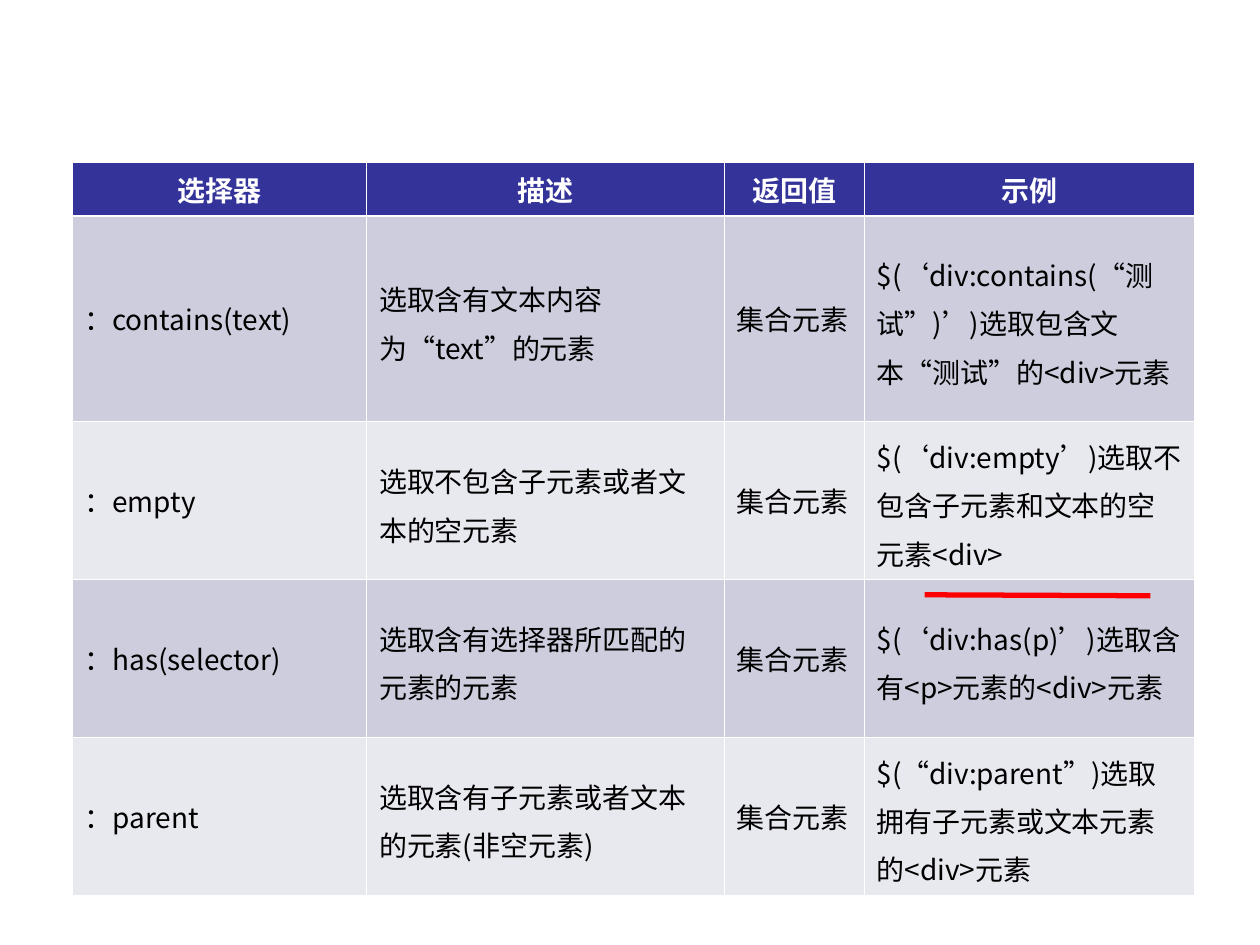
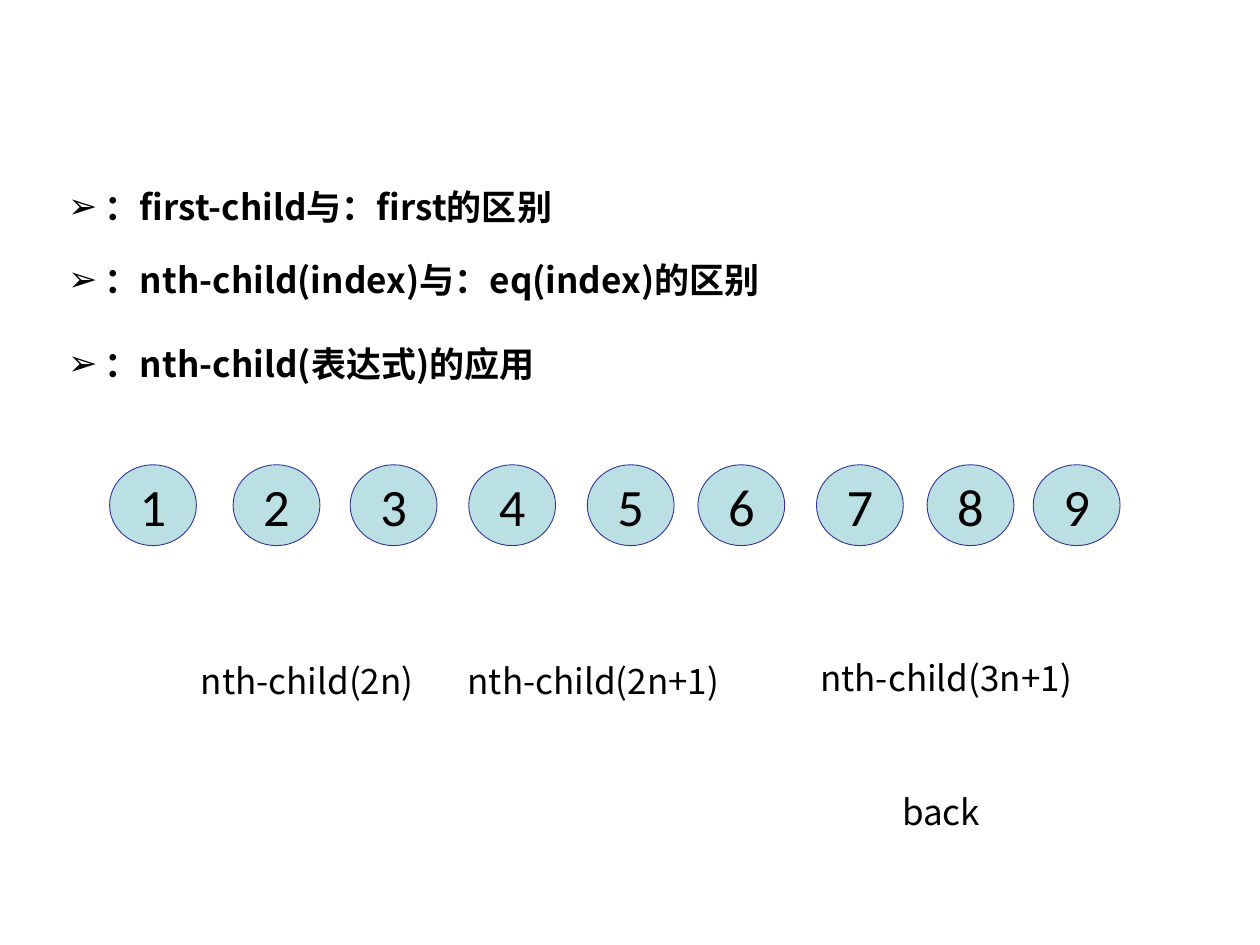
from dataclasses import dataclass

import lxml.etree
import pptx
import pptx.dml.color
import pptx.enum.shapes
import pptx.enum.text
import pptx.oxml.ns
import pptx.util

Cm = pptx.util.Cm
Pt = pptx.util.Pt
qn = pptx.oxml.ns.qn
ALIGN = pptx.enum.text.PP_ALIGN
MIDDLE = pptx.enum.text.MSO_ANCHOR.MIDDLE

BLACK, WHITE, RED = "000000", "FFFFFF", "FF0000"
NAVY, PALE_BLUE = "333399", "BBE0E3"
ROW_FILLS = ["CDCDDE", "E8E8EF"]
CJK_FONT = "Noto Sans CJK SC"
THIN, THICK = 0.45, 1.47


@dataclass
class TextStyle:
    size: float
    color: str = BLACK
    bold: bool = False
    font: str = CJK_FONT
    align: ALIGN = ALIGN.LEFT
    line_spacing: float = 1.0
    space_before: float = 0
    space_after: float = 0


@dataclass
class Label:
    text: str
    left: float
    top: float


HEADER_STYLE = TextStyle(16, WHITE, True, align=ALIGN.CENTER)
CELL_STYLE = TextStyle(16)
WRAPPED_CELL_STYLE = TextStyle(16, line_spacing=1.2)
NUMBER_STYLE = TextStyle(30, font="Calibri", align=ALIGN.CENTER)
LABEL_STYLE = TextStyle(20, align=ALIGN.CENTER, space_before=12.5)

COLUMN_WIDTHS = [5.94, 7.21, 2.82, 6.65]
ROW_HEIGHTS = [0.94, 3.51, 2.69, 2.69, 2.69]
COLLECTION = "集合元素"
SELECTOR_ROWS = [
    ["选择器", "描述", "返回值", "示例"],
    ["：contains(text)", "选取含有文本内容为“text”的元素", COLLECTION,
     "$(‘div:contains(“测试”)’)选取包含文本“测试”的<div>元素"],
    ["：empty", "选取不包含子元素或者文本的空元素", COLLECTION,
     "$(‘div:empty’)选取不包含子元素和文本的空元素<div>"],
    ["：has(selector)", "选取含有选择器所匹配的元素的元素", COLLECTION,
     "$(‘div:has(p)’)选取含有<p>元素的<div>元素"],
    ["：parent", "选取含有子元素或者文本的元素(非空元素)", COLLECTION,
     "$(“div:parent”)选取拥有子元素或文本元素的<div>元素"],
]

TOPICS = [
    ("：first-child与：first的区别", 0),
    ("：nth-child(index)与：eq(index)的区别", 0),
    ("：nth-child(表达式)的应用", 6),
]
CIRCLE_LEFTS = [2.21, 4.7, 7.06, 9.45, 11.84, 14.07, 16.46, 18.69, 20.83]
LABELS = [
    Label("nth-child(2n)", 2.69, 13.18),
    Label("nth-child(2n+1)", 8.46, 13.18),
    Label("nth-child(3n+1)", 15.57, 13.11),
    Label("back", 15.47, 15.82),
]


def rgb(color: str) -> pptx.dml.color.RGBColor:
    return pptx.dml.color.RGBColor.from_string(color)


def write(paragraph, text: str, style: TextStyle) -> None:
    paragraph.text = text
    paragraph.alignment = style.align
    paragraph.line_spacing = style.line_spacing
    paragraph.space_before = Pt(style.space_before)
    paragraph.space_after = Pt(style.space_after)
    font = paragraph.font
    font.size, font.bold, font.name = Pt(style.size), style.bold, style.font
    font.color.rgb = rgb(style.color)
    properties = paragraph._p.pPr.find(qn("a:defRPr"))
    lxml.etree.SubElement(properties, qn("a:ea"), typeface=style.font)


def add_arrow_bullet(paragraph) -> None:
    properties = paragraph._p.pPr
    properties.set("marL", str(Cm(0.74)))
    properties.set("indent", str(-Cm(0.74)))
    bullet_color = properties.makeelement(qn("a:buClr"))
    lxml.etree.SubElement(bullet_color, qn("a:srgbClr"), val=BLACK)
    bullet = properties.makeelement(qn("a:buChar"), {"char": "➢"})
    font_properties = properties.find(qn("a:defRPr"))
    font_properties.addprevious(bullet_color)
    font_properties.addprevious(bullet)


def set_borders(cell, top: float, bottom: float) -> None:
    """Draw white borders; top and bottom widths are in points."""
    properties = cell._tc.get_or_add_tcPr()
    for side, width in zip("LRTB", (THIN, THIN, top, bottom)):
        line = lxml.etree.SubElement(properties, qn(f"a:ln{side}"), w=str(Pt(width)))
        fill = lxml.etree.SubElement(line, qn("a:solidFill"))
        lxml.etree.SubElement(fill, qn("a:srgbClr"), val=WHITE)


def add_selector_table(slide) -> None:
    table = slide.shapes.add_table(
        len(ROW_HEIGHTS), len(COLUMN_WIDTHS), Cm(1.45), Cm(3.28),
        Cm(sum(COLUMN_WIDTHS)), Cm(sum(ROW_HEIGHTS))).table
    for column, width in zip(table.columns, COLUMN_WIDTHS):
        column.width = Cm(width)
    for row_index, texts in enumerate(SELECTOR_ROWS):
        table.rows[row_index].height = Cm(ROW_HEIGHTS[row_index])
        is_header = row_index == 0
        for column_index, text in enumerate(texts):
            cell = table.cell(row_index, column_index)
            cell.vertical_anchor = MIDDLE
            set_borders(cell, THICK if row_index == 1 else THIN,
                        THICK if is_header else THIN)
            cell.fill.solid()
            cell.fill.fore_color.rgb = rgb(
                NAVY if is_header else ROW_FILLS[(row_index - 1) % 2])
            if is_header:
                style = HEADER_STYLE
            else:
                style = WRAPPED_CELL_STYLE if column_index % 2 else CELL_STYLE
            write(cell.text_frame.paragraphs[0], text, style)


def add_red_line(slide) -> None:
    connector = slide.shapes.add_connector(
        pptx.enum.shapes.MSO_CONNECTOR.STRAIGHT,
        Cm(18.64), Cm(11.99), Cm(23.19), Cm(12.01))
    connector.line.color.rgb = rgb(RED)
    connector.line.width = Pt(3)
    lxml.etree.SubElement(connector._element.spPr, qn("a:effectLst"))


def fill_topics(body) -> None:
    body.left, body.top, body.width, body.height = Cm(1.12), Cm(3.18), Cm(23.22), Cm(4.7)
    frame = body.text_frame
    frame.auto_size = pptx.enum.text.MSO_AUTO_SIZE.SHAPE_TO_FIT_TEXT
    for index, (text, space_before) in enumerate(TOPICS):
        paragraph = frame.add_paragraph() if index else frame.paragraphs[0]
        write(paragraph, text, TextStyle(
            20, bold=True, line_spacing=1.5, space_before=space_before, space_after=6))
        add_arrow_bullet(paragraph)


def add_number_circle(slide, number: int, left: float) -> None:
    circle = slide.shapes.add_shape(
        pptx.enum.shapes.MSO_SHAPE.OVAL, Cm(left), Cm(9.37), Cm(1.75), Cm(1.63))
    circle.shadow.inherit = False
    circle.fill.solid()
    circle.fill.fore_color.rgb = rgb(PALE_BLUE)
    circle.line.color.rgb = rgb(NAVY)
    circle.line.width = Pt(0.5)
    frame = circle.text_frame
    frame.word_wrap = False
    frame.vertical_anchor = MIDDLE
    write(frame.paragraphs[0], str(number), NUMBER_STYLE)


def add_label(slide, label: Label) -> None:
    frame = slide.shapes.add_textbox(
        Cm(label.left), Cm(label.top), Cm(7.01), Cm(1.12)).text_frame
    frame.word_wrap = True
    frame.auto_size = pptx.enum.text.MSO_AUTO_SIZE.SHAPE_TO_FIT_TEXT
    write(frame.paragraphs[0], label.text, LABEL_STYLE)


def build_selector_slide(presentation) -> None:
    slide = presentation.slides.add_slide(presentation.slide_layouts[6])
    add_selector_table(slide)
    add_red_line(slide)


def build_child_slide(presentation) -> None:
    slide = presentation.slides.add_slide(presentation.slide_layouts[1])
    title = slide.shapes.title._element
    title.getparent().remove(title)
    fill_topics(slide.placeholders[1])
    for number, left in enumerate(CIRCLE_LEFTS, start=1):
        add_number_circle(slide, number, left)
    for label in LABELS:
        add_label(slide, label)


def main() -> None:
    presentation = pptx.Presentation()
    presentation.slide_width, presentation.slide_height = Cm(25.4), Cm(19.05)
    build_selector_slide(presentation)
    build_child_slide(presentation)
    presentation.save("out.pptx")


if __name__ == "__main__":
    main()
